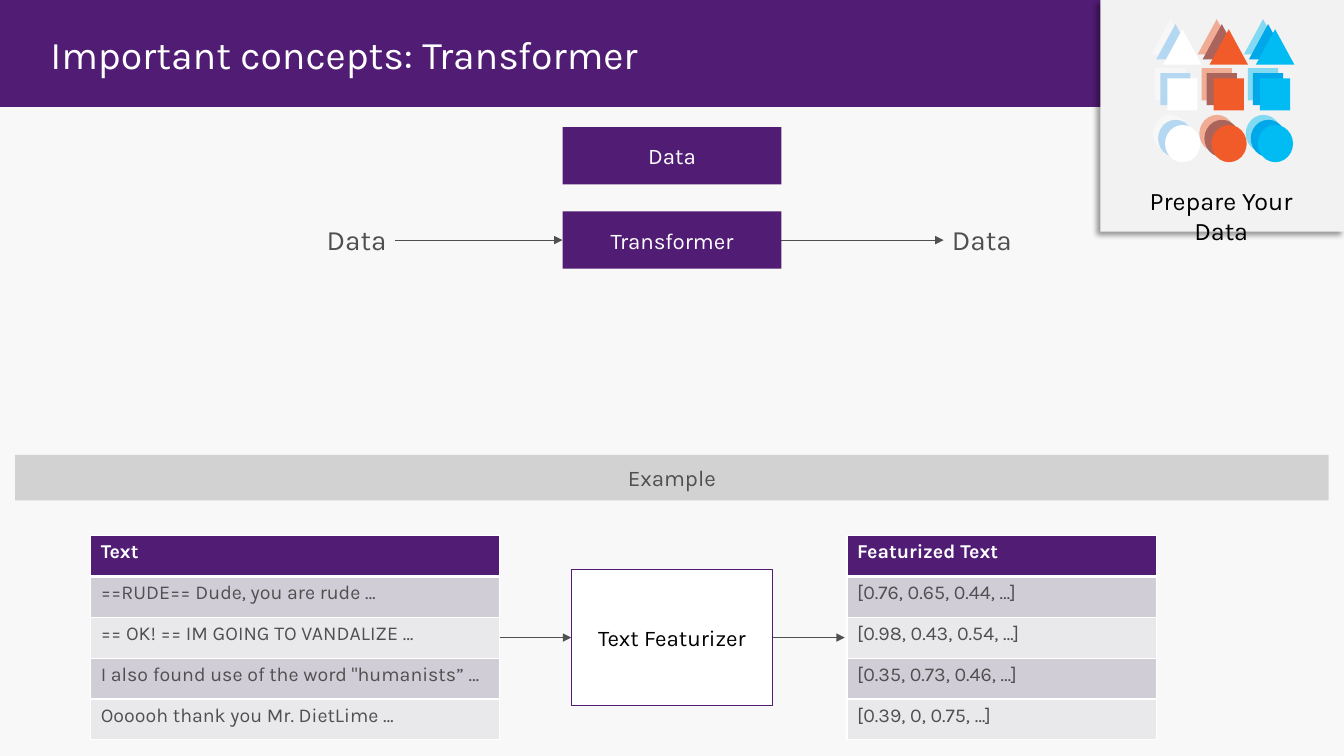
from lxml.etree import SubElement
from pptx import Presentation
from pptx.dml.color import RGBColor
from pptx.enum.shapes import MSO_CONNECTOR, MSO_SHAPE
from pptx.enum.text import MSO_ANCHOR, PP_ALIGN
from pptx.oxml.ns import qn
from pptx.util import Pt

COLORS = {
    "purple": "511C74", "white": "FFFFFF", "black": "000000", "gray": "505050",
    "page": "F8F8F8", "panel": "F2F2F2", "band": "D2D2D2",
    "row_dark": "D0CDD6", "row_light": "E9E8EB",
    "orange": "F15B2A", "cyan": "00BCF2",
    "pale_blue": "B4D7F2", "brown": "AB645B", "blue": "00A8E9",
}


class SlideBuilder:
    font_name = "Karla"

    def __init__(self, page):
        self.page = page
        page.background.fill.solid()
        page.background.fill.fore_color.rgb = self.color("page")

    def color(self, name):
        return RGBColor.from_string(COLORS[name])

    def style(self, paragraph, size, color, align=None, bold=False):
        paragraph.alignment = align
        for span in paragraph.runs:
            span.font.name = self.font_name
            span.font.size = Pt(size)
            span.font.bold = bold
            span.font.color.rgb = self.color(color)

    def shape(self, kind, bounds, fill, opacity=100, parent=None):
        shapes = (parent or self.page).shapes
        shape = shapes.add_shape(kind, *map(Pt, bounds))
        shape.shadow.inherit = False
        shape.line.fill.background()
        shape.fill.solid()
        shape.fill.fore_color.rgb = self.color(fill)
        if opacity < 100:
            tint = shape._element.spPr.find(qn("a:solidFill"))[0]
            SubElement(tint, qn("a:alpha"), val=str(opacity * 1000))
        return shape

    def box(self, bounds, text, fill, color, size=16, align=PP_ALIGN.CENTER,
            left_inset=0, outline=None):
        box = self.shape(MSO_SHAPE.RECTANGLE, bounds, fill)
        if outline:
            box.line.color.rgb = self.color(outline)
            box.line.width = Pt(0.85)
        frame = box.text_frame
        frame.text = text
        frame.vertical_anchor = MSO_ANCHOR.MIDDLE
        frame.margin_left, frame.margin_right = Pt(left_inset), 0
        self.style(frame.paragraphs[0], size, color, align)
        return box

    def label(self, bounds, text, size, color, align=PP_ALIGN.CENTER, inset=True):
        label = self.page.shapes.add_textbox(*map(Pt, bounds))
        frame = label.text_frame
        frame.word_wrap = True
        if not inset:
            frame.margin_left = frame.margin_right = 0
            frame.margin_top = frame.margin_bottom = 0
        frame.text = text
        self.style(frame.paragraphs[0], size, color, align)

    def panel(self, bounds):
        panel = self.shape(MSO_SHAPE.RECTANGLE, bounds, "panel")
        effects = panel._element.spPr.find(qn("a:effectLst"))
        shadow = SubElement(effects, qn("a:outerShdw"), blurRad=str(Pt(4)),
                            dist=str(Pt(3)), dir=str(135 * 60000), rotWithShape="0")
        tint = SubElement(shadow, qn("a:srgbClr"), val=COLORS["black"])
        SubElement(tint, qn("a:alpha"), val="40000")

    def arrow(self, left, right, y, source=None, target=None):
        arrow = self.page.shapes.add_connector(
            MSO_CONNECTOR.STRAIGHT, Pt(left), Pt(y), Pt(right), Pt(y))
        if source:
            arrow.begin_connect(source, 3)
        if target:
            arrow.end_connect(target, 1)
        arrow.line.color.rgb = self.color("gray")
        arrow.line.width = Pt(0.75)
        properties = arrow._element.spPr
        SubElement(properties.find(qn("a:ln")), qn("a:tailEnd"), type="triangle")
        SubElement(properties, qn("a:effectLst"))

    def border(self, cell, side, width):
        line = SubElement(cell._tc.get_or_add_tcPr(), qn(f"a:ln{side}"), w=str(Pt(width)))
        fill = SubElement(line, qn("a:solidFill"))
        SubElement(fill, qn("a:srgbClr"), val=COLORS["white"])

    def table(self, left, top, width, row_height, texts):
        frame = self.page.shapes.add_table(
            len(texts), 1, Pt(left), Pt(top), Pt(width), Pt(row_height * len(texts)))
        for index, text in enumerate(texts):
            header = index == 0
            cell = frame.table.cell(index, 0)
            cell.text = text
            self.style(cell.text_frame.paragraphs[0], 14,
                       "white" if header else "gray", bold=header)
            widths = {"L": 1, "R": 1, "T": 3 if index == 1 else 1, "B": 3 if header else 1}
            for side, line_width in widths.items():
                self.border(cell, side, line_width)
            fill = "purple" if header else ("row_light", "row_dark")[index % 2]
            cell.fill.solid()
            cell.fill.fore_color.rgb = self.color(fill)

    def shape_grid(self, left, top, pitch):
        kinds = [
            (MSO_SHAPE.ISOSCELES_TRIANGLE, 0, 0, 27.4, 25.2),
            (MSO_SHAPE.RECTANGLE, 2.9, 35, 21.6, 23),
            (MSO_SHAPE.OVAL, 1.3, 68.4, 25.2, 26.6),
        ]
        layers = [
            (0, 0, 46, ("white", "orange", "cyan")),
            (3.6, 3.5, 100, ("pale_blue", "brown", "blue")),
            (8.6, 7.2, 100, ("white", "orange", "cyan")),
        ]
        group = self.page.shapes.add_group_shape()
        for shift_x, shift_y, opacity, fills in layers:
            for column, fill in enumerate(fills):
                for kind, x, y, width, height in kinds:
                    bounds = (left + shift_x + column * pitch + x,
                              top + shift_y + y, width, height)
                    self.shape(kind, bounds, fill, opacity, group)


def main():
    deck = Presentation()
    deck.slide_width, deck.slide_height = Pt(960), Pt(540)
    slide = SlideBuilder(deck.slides.add_slide(deck.slide_layouts[6]))

    slide.box((0, 0, 960, 76.3), "Important concepts: Transformer", "purple", "white",
              28, PP_ALIGN.LEFT, 36)
    slide.panel((786, 0, 174, 165.4))
    slide.shape_grid(822.3, 13.7, 33.1)
    slide.label((796.3, 128.9, 152, 29), "Prepare Your Data", 18, "black")

    slide.box((401.8, 90.8, 156.4, 41), "Data", "purple", "white")
    transformer = slide.box((401.8, 151, 156.4, 41), "Transformer", "purple", "white")
    slide.label((233.3, 159.1, 49.7, 24.5), "Data", 20, "gray", PP_ALIGN.LEFT, False)
    slide.label((674, 159.1, 54.7, 24.5), "Data", 20, "gray", inset=False)
    slide.arrow(282.5, 401.8, 171.5, target=transformer)
    slide.arrow(558.2, 674, 171.5, source=transformer)

    slide.box((10.8, 325, 938.2, 32.5), "Example", "band", "gray")
    slide.table(64.8, 382.5, 292, 29.2, [
        "Text",
        "==RUDE== Dude, you are rude …",
        "== OK! == IM GOING TO VANDALIZE …",
        'I also found use of the word "humanists” …',
        "Oooooh thank you Mr. DietLime …",
    ])
    slide.table(605, 382.5, 221, 29.2, [
        "Featurized Text",
        "[0.76, 0.65, 0.44, …]",
        "[0.98, 0.43, 0.54, …]",
        "[0.35, 0.73, 0.46, …]",
        "[0.39, 0, 0.75, …]",
    ])
    featurizer = slide.box((408, 406.8, 144, 97.2), "Text Featurizer", "white", "black",
                           outline="purple")
    slide.arrow(356.8, 408, 455.4, target=featurizer)
    slide.arrow(552, 603.4, 455.4, source=featurizer)

    deck.save("out.pptx")


if __name__ == "__main__":
    main()
